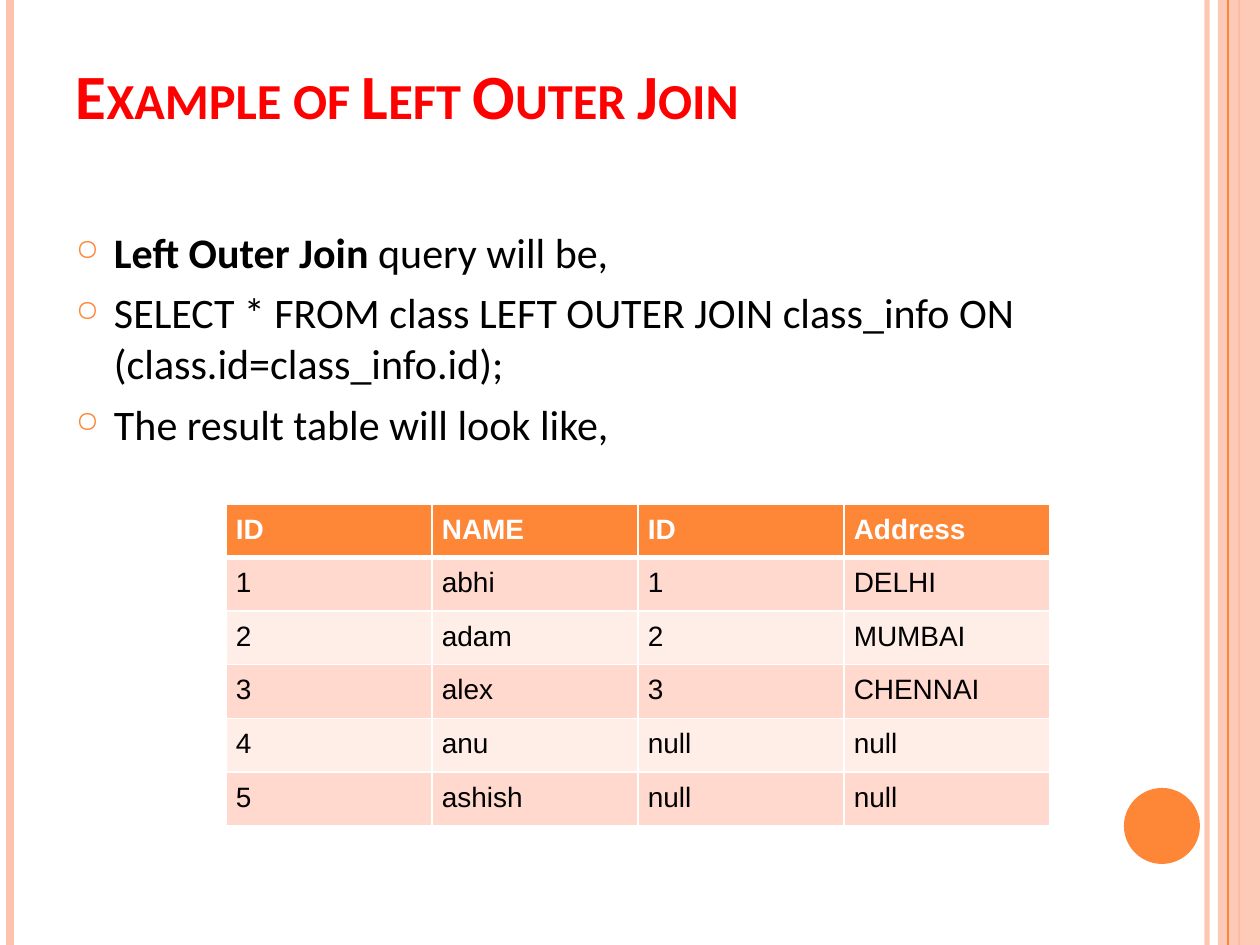
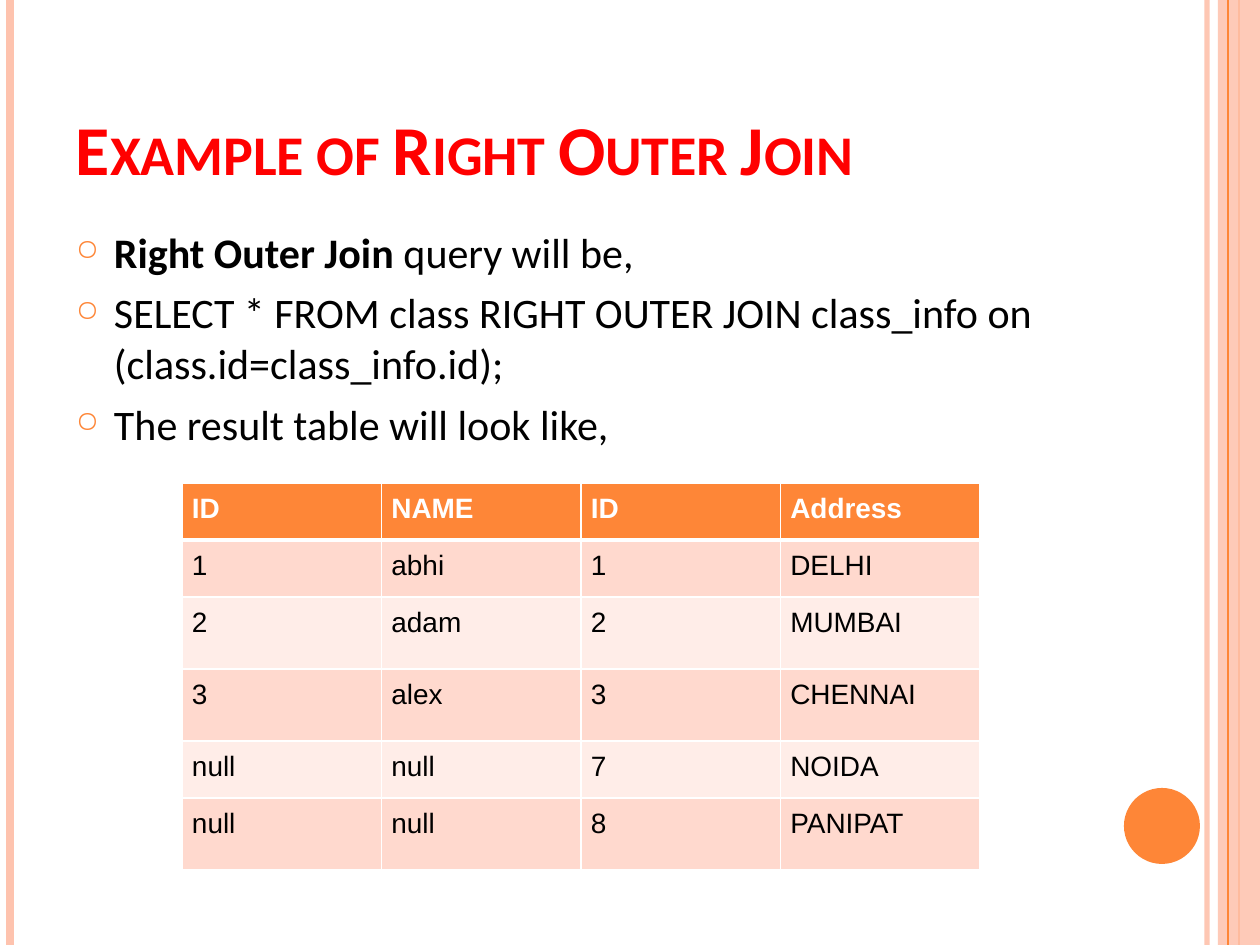
from lxml.etree import SubElement
from pptx import Presentation
from pptx.dml.color import RGBColor as RGB
from pptx.enum.shapes import MSO_CONNECTOR as LINE, MSO_SHAPE as SHAPE
from pptx.enum.text import MSO_ANCHOR as ANCHOR
from pptx.oxml.ns import qn
from pptx.util import Pt

SCALE = 914400 / 126
WIDTH, HEIGHT = 1260, 945
COLORS = {
    "orange": "FE8637",
    "peach": "FEC3AE",
    "title": "FF0000",
    "text": "000000",
    "white": "FFFFFF",
    "band_dark": "FFD9CE",
    "band_light": "FFEDE8",
}
FORMATS = {
    "title": {"name": "Calibri", "bold": True},
    "strong": {"name": "Calibri", "size": Pt(24), "bold": True},
    "body": {"name": "Calibri", "size": Pt(24), "bold": False},
    "header": {"name": "Arial", "size": Pt(16), "bold": True},
    "cell": {"name": "Arial", "size": Pt(16), "bold": False},
}
HEADERS = ["ID", "NAME", "ID", "Address"]
MATCHED = [
    ["1", "abhi", "1", "DELHI"],
    ["2", "adam", "2", "MUMBAI"],
    ["3", "alex", "3", "CHENNAI"],
]
SLIDES = [
    {
        "title": ("Example of Left Outer Join", 36, 63),
        "body_height": 672,
        "join": "Left Outer Join",
        "query": "SELECT * FROM class LEFT OUTER JOIN class_info ON (class.id=class_info.id);",
        "table_box": (226, 504, 824),
        "row_heights": [52] * 6,
        "unmatched": [["4", "anu", "null", "null"], ["5", "ashish", "null", "null"]],
    },
    {
        "title": ("Example of Right Outer Join", 40, 6),
        "body_height": 725,
        "join": "Right Outer Join",
        "query": "SELECT * FROM class RIGHT OUTER JOIN class_info on (class.id=class_info.id);",
        "table_box": (182, 483, 798),
        "row_heights": [57, 57, 72, 72, 57, 72],
        "unmatched": [["null", "null", "7", "NOIDA"], ["null", "null", "8", "PANIPAT"]],
    },
]


def px(n):
    return round(n * SCALE)


def rgb(color):
    return RGB.from_string(COLORS[color])


def set_attrs(obj, values):
    for name, value in values.items():
        setattr(obj, name, value)


def set_alpha(shape, percent):
    clr = next(shape._element.spPr.iter(qn("a:srgbClr")))
    SubElement(clr, qn("a:alpha"), val=str(percent * 1000))


def add_run(p, text, style, color):
    r = p.add_run()
    r.text = text
    set_attrs(r.font, FORMATS[style])
    r.font.color.rgb = rgb(color)
    return r


def add_text(s, box, bottom_inset=6):
    tf = s.shapes.add_textbox(*map(px, box)).text_frame
    set_attrs(tf, {
        "word_wrap": True,
        "margin_left": px(13),
        "margin_right": px(13),
        "margin_top": px(6),
        "margin_bottom": px(bottom_inset),
    })
    return tf


def add_rule(s, x, color, weight):
    line = s.shapes.add_connector(LINE.STRAIGHT, px(x), 0, px(x), px(HEIGHT))
    line.line.color.rgb = rgb(color)
    line.line.width = Pt(weight)
    SubElement(line._element.spPr, qn("a:effectLst"))
    return line


def add_solid(s, kind, box, color):
    sp = s.shapes.add_shape(kind, *map(px, box))
    sp.shadow.inherit = False
    sp.fill.solid()
    sp.fill.fore_color.rgb = rgb(color)
    sp.line.fill.background()
    return sp


def add_frame(s):
    set_alpha(add_rule(s, 1207, "peach", 3), 93)
    add_rule(s, 10, "peach", 4.5)
    add_rule(s, 1239, "orange", 1.5)
    set_alpha(add_solid(s, SHAPE.RECTANGLE, (1218, 0, 42, HEIGHT), "peach"), 87)
    add_rule(s, 1228, "orange", 0.75)
    add_solid(s, SHAPE.OVAL, (1124, 788, 76, 76), "orange")


def add_title(s, box, text, size, bottom_inset):
    tf = add_text(s, box, bottom_inset)
    tf.vertical_anchor = ANCHOR.BOTTOM
    r = add_run(tf.paragraphs[0], text, "title", "title")
    r.font.size = Pt(size)
    r._r.get_or_add_rPr().set("cap", "small")


def add_bullet(p):
    p.space_before = Pt(6)
    pPr = p._p.get_or_add_pPr()
    pPr.set("marL", str(px(38)))
    pPr.set("indent", str(-px(38)))
    SubElement(SubElement(pPr, qn("a:buClr")), qn("a:srgbClr"), val=COLORS["orange"])
    SubElement(pPr, qn("a:buSzPct"), val="70000")
    SubElement(pPr, qn("a:buChar"), char="○")


def add_body(s, box, join, query):
    tf = add_text(s, box)
    lines = [
        [(join, "strong"), (" query will be,", "body")],
        [(query, "body")],
        [("The result table will look like,", "body")],
    ]
    for i, runs in enumerate(lines):
        p = tf.add_paragraph() if i else tf.paragraphs[0]
        add_bullet(p)
        for text, style in runs:
            add_run(p, text, style, "text")


def add_borders(cell, weights):
    tcPr = cell._tc.get_or_add_tcPr()
    for side, weight in weights.items():
        ln = SubElement(tcPr, qn(f"a:ln{side}"), w=str(Pt(weight)))
        SubElement(SubElement(ln, qn("a:solidFill")), qn("a:srgbClr"), val=COLORS["white"])


def add_result_table(s, box, heights, rows):
    x, y, w = map(px, box)
    table = s.shapes.add_table(len(rows), len(HEADERS), x, y, w, px(sum(heights))).table
    for col in table.columns:
        col.width = w // len(HEADERS)
    for i, values in enumerate(rows):
        table.rows[i].height = px(heights[i])
        style, color = ("cell", "text") if i else ("header", "white")
        fill = ("band_light", "band_dark")[i % 2] if i else "orange"
        weights = {"L": 1, "R": 1, "T": 3 if i == 1 else 1, "B": 1 if i else 3}
        for j, value in enumerate(values):
            cell = table.cell(i, j)
            set_attrs(cell, {f"margin_{side}": px(10) for side in ("left", "right", "top", "bottom")})
            add_borders(cell, weights)
            cell.fill.solid()
            cell.fill.fore_color.rgb = rgb(fill)
            add_run(cell.text_frame.paragraphs[0], value, style, color)


def add_join_slide(prs, join):
    s = prs.slides.add_slide(prs.slide_layouts[6])
    add_frame(s)
    add_title(s, (63, 38, 1029, 157), *join["title"])
    add_body(s, (63, 220, 1029, join["body_height"]), join["join"], join["query"])
    rows = [HEADERS] + MATCHED + join["unmatched"]
    add_result_table(s, join["table_box"], join["row_heights"], rows)


def main():
    prs = Presentation()
    prs.slide_width, prs.slide_height = px(WIDTH), px(HEIGHT)
    for join in SLIDES:
        add_join_slide(prs, join)
    prs.save("out.pptx")


if __name__ == "__main__":
    main()
